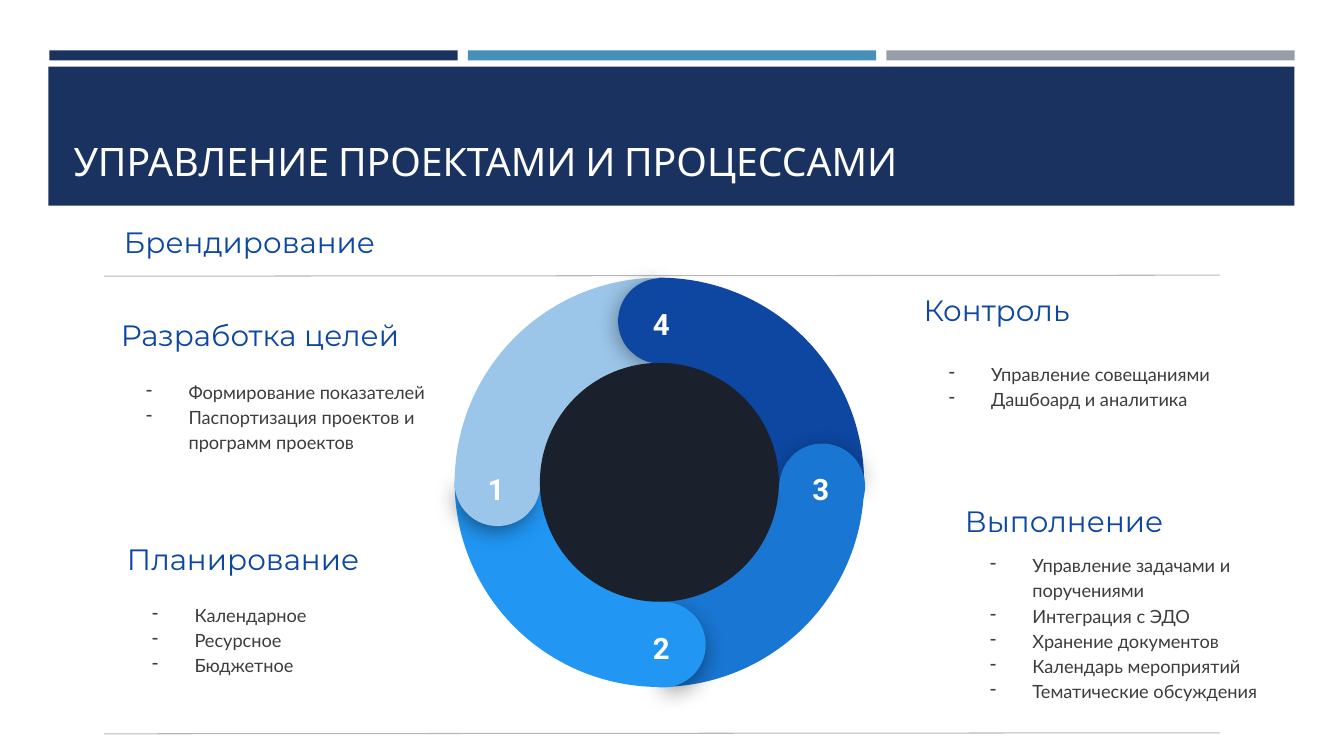
from lxml import etree
from pptx import Presentation
from pptx.dml.color import RGBColor
from pptx.enum.shapes import MSO_CONNECTOR, MSO_SHAPE
from pptx.enum.text import MSO_ANCHOR, MSO_AUTO_SIZE, PP_ALIGN
from pptx.oxml.ns import qn
from pptx.util import Inches, Pt

RECTANGLE, PIE, CHORD, OVAL = MSO_SHAPE.RECTANGLE, MSO_SHAPE.PIE, MSO_SHAPE.CHORD, MSO_SHAPE.OVAL
TOP, MIDDLE, BOTTOM = MSO_ANCHOR.TOP, MSO_ANCHOR.MIDDLE, MSO_ANCHOR.BOTTOM
LEFT, CENTER = PP_ALIGN.LEFT, PP_ALIGN.CENTER
STRAIGHT = MSO_CONNECTOR.STRAIGHT

NAVY, WHITE, HEADING, BODY, RULE, HUB = "1A3260", "FFFFFF", "0D47A1", "3D3D3D", "B7B7B7", "1B212C"
BAR_COLORS = [NAVY, "4590B8", "969FA7"]
BAR_LEFT, BAR_TOP, BAR_WIDTH, BAR_GAP = 0.49, 0.5, 4.05, 0.1
TITLE = "УПРАВЛЕНИЕ ПРОЕКТАМИ И ПРОЦЕССАМИ"

SECTIONS = [
    ("Брендирование", (1.1, 2.07), 3.27, None, []),
    ("Разработка целей", (1.07, 3), 3.27, (3.62, 3.32, 1.01),
     ["Формирование показателей", "Паспортизация проектов и программ проектов"]),
    ("Планирование", (1.13, 5.22), 2.7, (5.83, 2.9, 1.01),
     ["Календарное", "Ресурсное", "Бюджетное"]),
    ("Контроль", (9.03, 2.75), 2.7, (3.44, 3.32, 1.22),
     ["Управление совещаниями", "Дашбоард и аналитика"]),
    ("Выполнение", (9.44, 4.84), 2.7, (5.34, 3.7, 1.49),
     ["Управление задачами и поручениями", "Интеграция с ЭДО", "Хранение документов",
      "Календарь мероприятий", "Тематические обсуждения"]),
]
RULE_TOPS = [2.73, 7.27]
RULE_LEFT, RULE_RIGHT, RULE_DROP = 1.03, 12.1, 0.01

RING_CENTER, RING_SIZE, HUB_SIZE = (6.54, 4.785), 4.06, 2.37
QUARTER = (107.957, 162.013)
CAP_SIZE, SHADOW_CAP_SIZE = 0.85, 0.76
CAP, SHADOW_CAP, SHADOW_CAP_RIGHT = (25.006, 18.12), (189.535, 83.81), (196.87, 77.71)
STAGES = [
    ("1", "9BC5E9", 0, (4.935, 4.795), (4.91, 4.81), (4.92, 4.735), SHADOW_CAP),
    ("2", "2196F3", 270, (6.575, 6.395), (6.59, 6.41), (6.56, 6.315), SHADOW_CAP),
    ("3", "1976D2", 180, (8.155, 4.825), (8.17, 4.81), (8.14, 4.735), SHADOW_CAP_RIGHT),
    ("4", "0D47A1", 90, (6.555, 3.185), (6.54, 3.16), (6.56, 3.105), SHADOW_CAP),
]

presentation = Presentation()
presentation.slide_width, presentation.slide_height = Inches(13.33), Inches(7.5)
slide = presentation.slides.add_slide(presentation.slide_layouts[5])
shapes = slide.shapes


def color(value):
    return RGBColor.from_string(value)


def add_filled(kind, box, fill, angles=(), rotation=0):
    shape = shapes.add_shape(kind, *map(Inches, box))
    shape.shadow.inherit = False
    shape.fill.solid()
    shape.fill.fore_color.rgb = color(fill)
    shape.line.fill.background()
    for index, angle in enumerate(angles):
        shape.adjustments[index] = angle
    shape.rotation = rotation
    return shape


def centered(center, width, height):
    return center[0] - width / 2, center[1] - height / 2, width, height


def add_shadow(shape):
    effects = shape._element.spPr.find(qn("a:effectLst"))
    shadow = etree.SubElement(effects, qn("a:outerShdw"), blurRad=str(Pt(18)), dist=str(Pt(4)),
                              dir="5400000", algn="bl", rotWithShape="0")
    tint = etree.SubElement(shadow, qn("a:srgbClr"), val="000000")
    etree.SubElement(tint, qn("a:alpha"), val="54000")


def add_bullet(paragraph):
    properties = paragraph._p.get_or_add_pPr()
    properties.set("marL", str(Inches(0.67)))
    properties.set("indent", str(Inches(-0.42)))
    bullet_color = etree.SubElement(properties, qn("a:buClr"))
    etree.SubElement(bullet_color, qn("a:srgbClr"), val=BODY)
    etree.SubElement(properties, qn("a:buChar"), char="-")


def write(shape, text, font, size, fill, anchor=TOP, align=LEFT, bold=False, bullets=False,
          insets=(0.13, 0.13)):
    frame = shape.text_frame
    frame.text = text
    frame.word_wrap = True
    frame.auto_size = MSO_AUTO_SIZE.NONE
    frame.vertical_anchor = anchor
    frame.margin_left = frame.margin_right = Inches(insets[0])
    frame.margin_top = frame.margin_bottom = Inches(insets[1])
    for paragraph in frame.paragraphs:
        paragraph.alignment = align
        if bullets:
            paragraph.line_spacing = 1.15
            add_bullet(paragraph)
        for run in paragraph.runs:
            run.font.name, run.font.size, run.font.bold = font, Pt(size), bold
            run.font.color.rgb = color(fill)


def add_text(box, *arguments, **options):
    write(shapes.add_textbox(*map(Inches, box)), *arguments, **options)


for column, fill in enumerate(BAR_COLORS):
    add_filled(RECTANGLE, (BAR_LEFT + column * (BAR_WIDTH + BAR_GAP), BAR_TOP, BAR_WIDTH, 0.1), fill)
add_filled(RECTANGLE, (0.48, 0.66, 12.36, 1.38), NAVY)

title = shapes.title
title.left, title.top, title.width, title.height = map(Inches, (0.63, 0.8, 12.06, 1.08))
write(title, TITLE, "Cabin", 28, WHITE, anchor=BOTTOM, insets=(0.1, 0.05))
shapes._spTree.append(title._element)

for heading, (left, top), width, list_box, items in SECTIONS:
    add_text((left, top, width, 0.65), heading, "Montserrat", 21, HEADING, anchor=MIDDLE)
    if items:
        add_text((left, *list_box), "\n".join(items), "Lato", 13, BODY, bullets=True)

for top in RULE_TOPS:
    rule = shapes.add_connector(STRAIGHT, Inches(RULE_RIGHT), Inches(top),
                                Inches(RULE_LEFT), Inches(top + RULE_DROP))
    rule.line.color.rgb = color(RULE)
    rule.line.width = Pt(0.75)
    etree.SubElement(rule._element.spPr, qn("a:effectLst"))

for number, fill, turn, *rest in STAGES:
    add_filled(PIE, centered(RING_CENTER, RING_SIZE, RING_SIZE), fill, QUARTER, turn)

for number, fill, turn, cap_center, shadow_center, label_center, shadow_angles in STAGES:
    shadow_cap = add_filled(PIE, centered(shadow_center, SHADOW_CAP_SIZE, SHADOW_CAP_SIZE), fill,
                            shadow_angles, (turn + 39.5) % 360)
    add_shadow(shadow_cap)
    add_filled(CHORD, centered(cap_center, CAP_SIZE, CAP_SIZE), fill, CAP, turn + 4.1)
    add_text(centered(label_center, 0.74, 0.39), number, "Roboto", 21, WHITE, align=CENTER, bold=True)

add_filled(OVAL, centered(RING_CENTER, HUB_SIZE, HUB_SIZE), HUB)

presentation.save("out.pptx")
